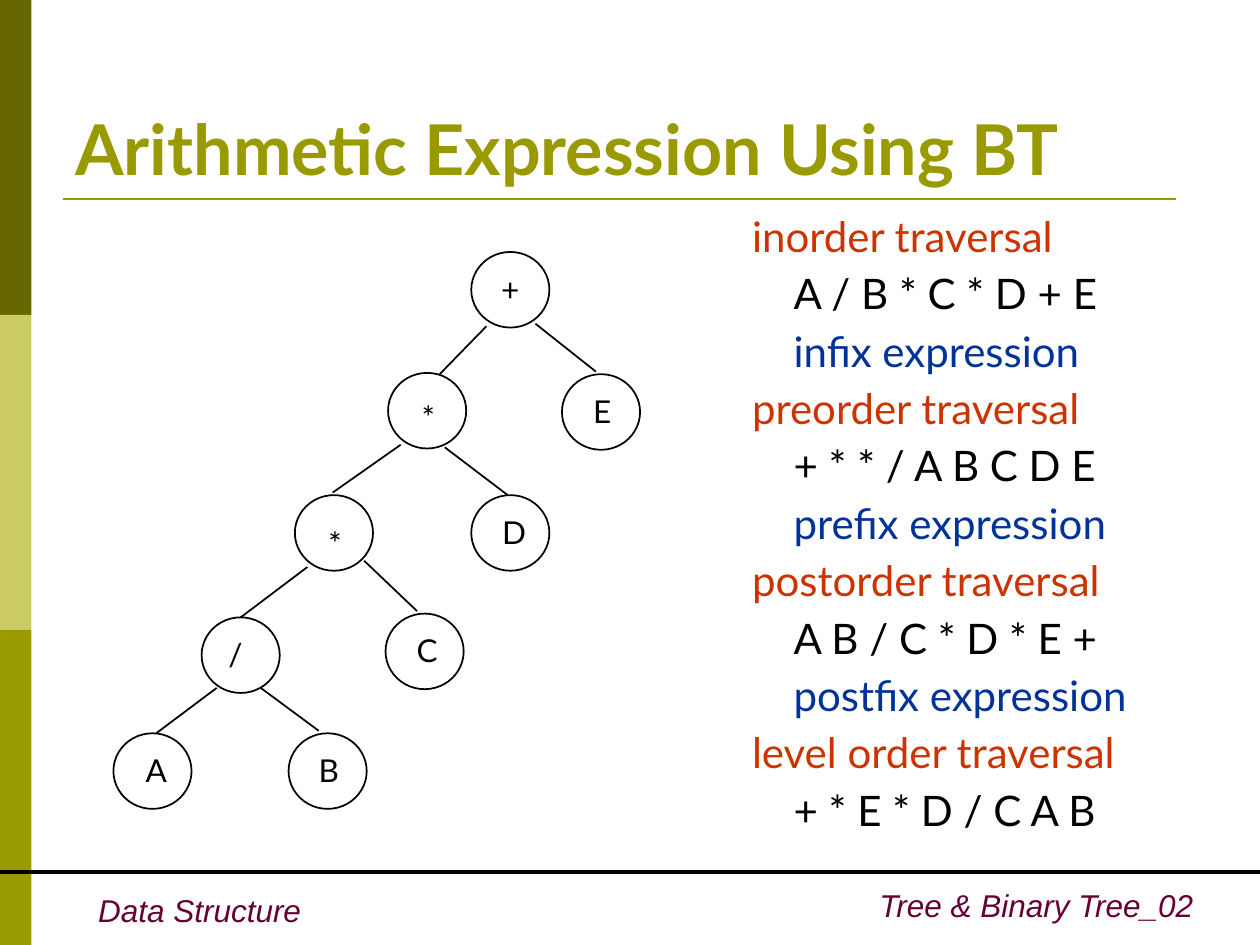
from lxml.etree import SubElement
from pptx import Presentation
from pptx.dml.color import RGBColor
from pptx.enum.shapes import MSO_CONNECTOR, MSO_SHAPE
from pptx.enum.text import MSO_ANCHOR, PP_ALIGN
from pptx.oxml.ns import qn
from pptx.util import Inches, Pt

COLORS = {
    "dark": "666600", "pale": "CCCC66", "olive": "999900", "plum": "660033",
    "red": "CC3300", "blue": "003399", "black": "000000",
}
TITLE = "Arithmetic Expression Using BT"
BANDS = ["dark", "pale", "olive"]
RULES = [  # start, end, colour, width
    ((0.5, 1.58), (9.33, 1.58), "olive", 1.5),
    ((0, 6.92), (10, 6.92), "black", 2.25),
]
FOOTERS = [  # text, box, alignment
    ("Data Structure", (0.68, 7.02, 1.81, 0.4), PP_ALIGN.LEFT),
    ("Tree & Binary Tree_02", (6.5, 6.98, 3.07, 0.4), PP_ALIGN.RIGHT),
]
ORDERS = [  # traversal, result, notation
    ("inorder traversal", "A / B * C * D + E", "infix expression"),
    ("preorder traversal", "+ * * / A B C D E", "prefix expression"),
    ("postorder traversal", "A B / C * D * E +", "postfix expression"),
    ("level order traversal", "+ * E * D / C A B", None),
]
NODES = [  # label, circle left and top, label shift from the centre
    ("+", 3.74, 2.00, 0, -0.01),
    ("*", 3.08, 2.96, 0.01, 0.05),
    ("E", 4.46, 2.97, 0.01, -0.01),
    ("*", 2.34, 3.93, 0.01, 0.08),
    ("D", 3.74, 3.93, 0.03, -0.01),
    ("/", 1.60, 4.90, -0.04, -0.01),
    ("C", 3.06, 4.87, 0.02, -0.01),
    ("A", 0.90, 5.82, 0.03, -0.01),
    ("B", 2.29, 5.82, 0.01, -0.01),
]
EDGES = [  # parent end, child end
    ((3.86, 2.59), (3.49, 2.97)), ((4.25, 2.57), (4.73, 2.95)),
    ((3.18, 3.53), (2.64, 3.91)), ((3.53, 3.55), (4.03, 3.93)),
    ((2.44, 4.50), (1.91, 4.90)), ((2.89, 4.45), (3.31, 4.85)),
    ((1.72, 5.46), (1.24, 5.82)), ((2.07, 5.46), (2.53, 5.80)),
]
NODE_W, NODE_H = 0.62, 0.6
LABEL = 0.4
BAND_W, BAND_H = 0.25, 2.5


def rgb(name):
    return RGBColor.from_string(COLORS[name])


def style(para, size, color, face="Lato", bold=False, italic=False):
    for run in para.runs:
        font = run.font
        font.size, font.name = Pt(size), face
        font.bold, font.italic = bold, italic
        font.color.rgb = rgb(color)


def add_text(parent, text, box, size, color, align=PP_ALIGN.LEFT, wrap=True,
             anchor=MSO_ANCHOR.TOP, **look):
    frame = parent.add_textbox(*map(Inches, box)).text_frame
    frame.word_wrap = wrap
    frame.vertical_anchor = anchor
    frame.text = text
    para = frame.paragraphs[0]
    para.alignment = align
    style(para, size, color, **look)
    return frame


def add_line(parent, start, end, color, width):
    line = parent.add_connector(MSO_CONNECTOR.STRAIGHT, *map(Inches, start + end))
    line.line.color.rgb = rgb(color)
    line.line.width = Pt(width)
    SubElement(line._element.spPr, qn("a:effectLst"))


def add_node(parent, label, left, top, dx, dy):
    ring = parent.add_shape(
        MSO_SHAPE.OVAL, *map(Inches, (left, top, NODE_W, NODE_H)))
    ring.shadow.inherit = False
    ring.fill.background()
    ring.line.color.rgb = rgb("black")
    ring.line.width = Pt(1)
    box = (left + (NODE_W - LABEL) / 2 + dx, top + (NODE_H - LABEL) / 2 + dy,
           LABEL, LABEL)
    add_text(parent, label, box, 18, "black", PP_ALIGN.CENTER, wrap=False)


def add_orders(parent):
    rows = [(text, color, color != "red")
            for order in ORDERS
            for text, color in zip(order, ("red", "black", "blue")) if text]
    frame = add_text(parent, rows[0][0], (5.87, 1.62, 3.79, 5.08), 24, "red")
    for text, color, inset in rows[1:]:
        para = frame.add_paragraph()
        para.text = text
        para.space_before = Pt(4)
        if inset:
            para._p.get_or_add_pPr().set("marL", str(Inches(0.33)))
        style(para, 24, color)


def main():
    deck = Presentation()
    deck.slide_width, deck.slide_height = Inches(10), Inches(7.5)
    shapes = deck.slides.add_slide(deck.slide_layouts[6]).shapes

    for i, color in enumerate(BANDS):
        band = shapes.add_shape(
            MSO_SHAPE.RECTANGLE, *map(Inches, (0, i * BAND_H, BAND_W, BAND_H)))
        band.shadow.inherit = False
        band.fill.solid()
        band.fill.fore_color.rgb = rgb(color)
        band.line.fill.background()
    for rule in RULES:
        add_line(shapes, *rule)
    for text, box, align in FOOTERS:
        add_text(shapes, text, box, 18, "plum", align, face="Arial", italic=True)

    add_text(shapes, TITLE, (0.5, 0.3, 9, 1.25), 40, "olive",
             anchor=MSO_ANCHOR.BOTTOM, bold=True)
    add_orders(shapes)

    tree = shapes.add_group_shape().shapes
    for node in NODES:
        add_node(tree, *node)
    for start, end in EDGES:
        add_line(tree, start, end, "black", 1)

    deck.save("out.pptx")


if __name__ == "__main__":
    main()
